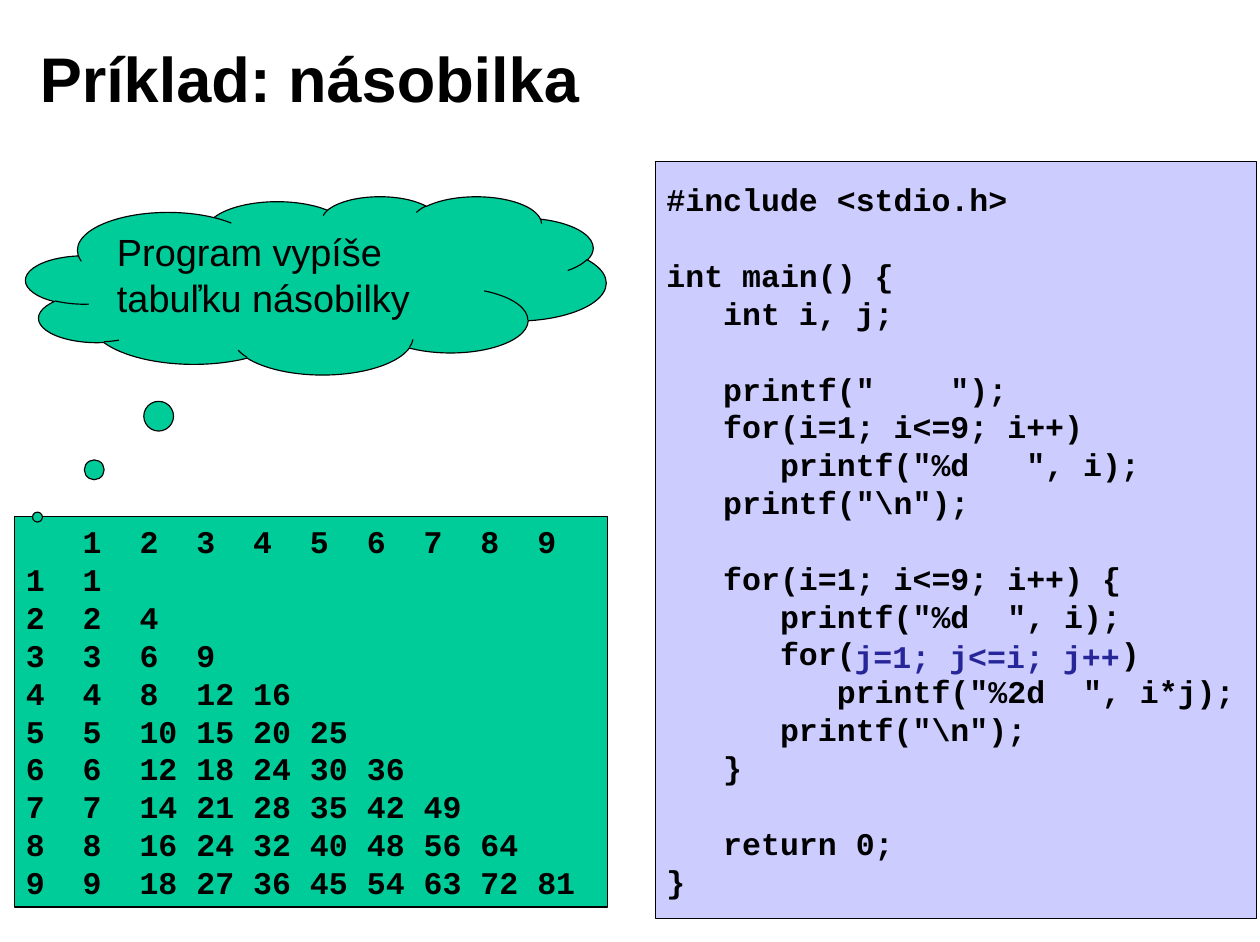
from lxml import etree
from pptx import Presentation
from pptx.dml.color import RGBColor
from pptx.enum.shapes import MSO_SHAPE
from pptx.enum.text import MSO_ANCHOR, PP_ALIGN
from pptx.oxml.ns import qn
from pptx.util import Cm, Pt

RECTANGLE, CLOUD = MSO_SHAPE.RECTANGLE, MSO_SHAPE.CLOUD_CALLOUT
TOP, MIDDLE = MSO_ANCHOR.TOP, MSO_ANCHOR.MIDDLE
LEFT = PP_ALIGN.LEFT
TITLE_ONLY = 5

BLACK, GREEN, LILAC, INDIGO = "000000", "00CC99", "CCCCFF", "262699"
SANS, MONO = "Arial", "Courier New"

PROGRAM = r"""#include <stdio.h>

int main() {
   int i, j;

   printf("    ");
   for(i=1; i<=9; i++)
      printf("%d   ", i);
   printf("\n");

   for(i=1; i<=9; i++) {
      printf("%d  ", i);
      for(              )
         printf("%2d  ", i*j);
      printf("\n");
   }

   return 0;
}"""


def rgb(hex_color):
    return RGBColor.from_string(hex_color)


def multiplication_lines():
    """Return the header and the lower triangle of products, in columns of three."""
    digits = range(1, 10)
    lines = ["   " + "  ".join(str(j) for j in digits)]
    for i in digits:
        products = " ".join(f"{i * j:<2}" for j in range(1, i + 1))
        lines.append(f"{i}  {products}".rstrip())
    return lines


class LessonSlide:
    def __init__(self, presentation):
        self.slide = presentation.slides.add_slide(
            presentation.slide_layouts[TITLE_ONLY])

    def set_text(self, frame, lines, size, font=SANS, bold=False, color=BLACK,
                 anchor=TOP, wrap=True):
        frame.word_wrap = wrap
        frame.vertical_anchor = anchor
        frame.margin_left = frame.margin_right = Cm(0.25)
        frame.margin_top = frame.margin_bottom = Cm(0.13)
        frame.text = "\n".join(lines)
        for paragraph in frame.paragraphs:
            paragraph.alignment = LEFT
            paragraph.font.size = Pt(size)
            paragraph.font.name = font
            paragraph.font.bold = bold
            paragraph.font.color.rgb = rgb(color)
            if not paragraph.runs:  # an empty code line keeps its full height
                etree.SubElement(paragraph._p, qn("a:endParaRPr"), sz=str(size * 100))

    def title(self, text, left, top, width, height):
        title = self.slide.shapes.title
        title.left, title.top = Cm(left), Cm(top)
        title.width, title.height = Cm(width), Cm(height)
        self.set_text(title.text_frame, [text], 40, bold=True, anchor=MIDDLE)

    def panel(self, kind, box, fill, lines, size, **style):
        panel = self.slide.shapes.add_shape(kind, *map(Cm, box))
        panel.shadow.inherit = False
        panel.fill.solid()
        panel.fill.fore_color.rgb = rgb(fill)
        panel.line.color.rgb = rgb(BLACK)
        panel.line.width = Pt(0.75)
        self.set_text(panel.text_frame, lines, size, **style)
        return panel

    def label(self, box, text, size, **style):
        label = self.slide.shapes.add_textbox(*map(Cm, box))
        self.set_text(label.text_frame, [text], size, wrap=False, **style)


def main():
    presentation = Presentation()
    presentation.slide_width, presentation.slide_height = Cm(28.19), Cm(21.08)
    lesson = LessonSlide(presentation)
    code = {"font": MONO, "bold": True}

    lesson.title("Príklad: násobilka", 0.64, 0.43, 22.66, 2.59)
    lesson.panel(RECTANGLE, (0.33, 11.56, 13.26, 8.74), GREEN,
                 multiplication_lines(), 20, **code)
    lesson.panel(RECTANGLE, (14.66, 3.61, 13.46, 16.94), LILAC,
                 PROGRAM.split("\n"), 20, anchor=MIDDLE, wrap=False, **code)
    thought = lesson.panel(CLOUD, (0.58, 4.39, 12.98, 3.99), GREEN,
                           ["Program vypíše tabuľku násobilky"], 24)
    thought.adjustments[0], thought.adjustments[1] = -0.48, 1.3
    lesson.label((18.87, 14.12, 6.45, 1.12), "j=1; j<=i; j++", 20,
                 color=INDIGO, **code)

    presentation.save("out.pptx")


if __name__ == "__main__":
    main()
